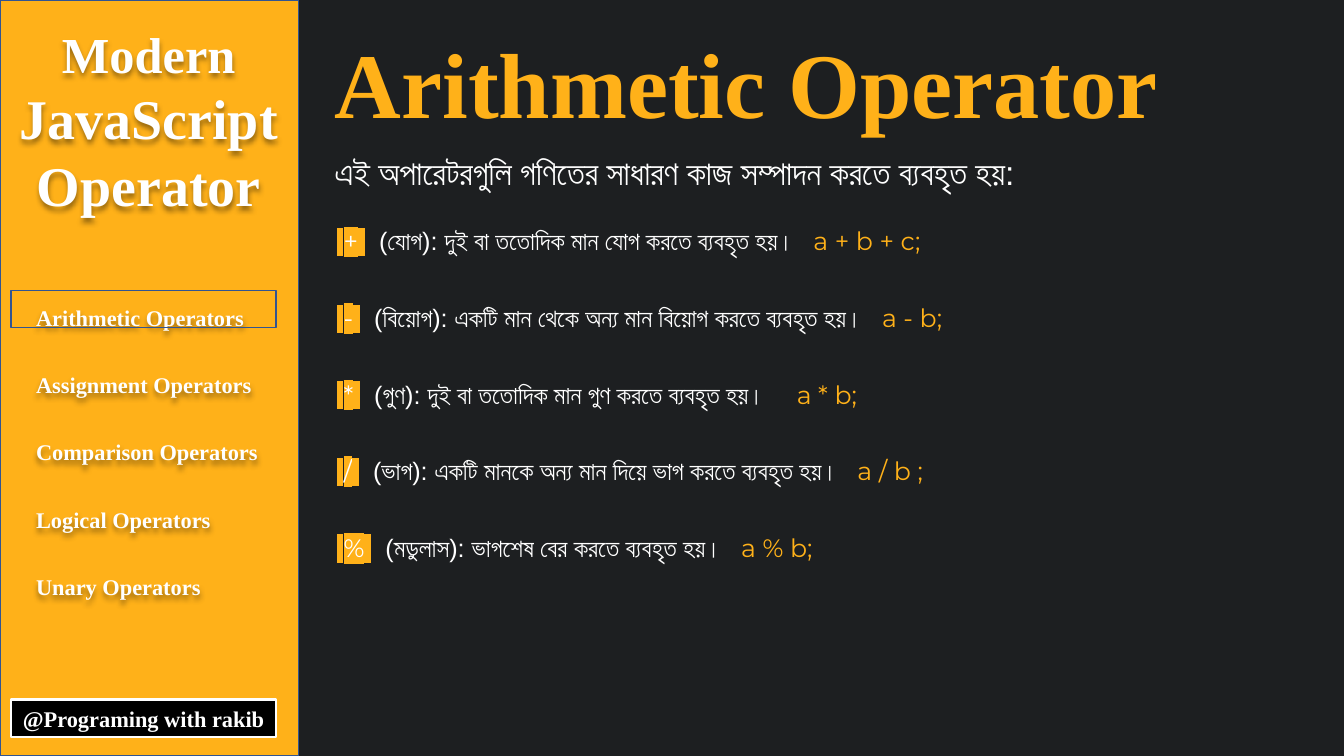
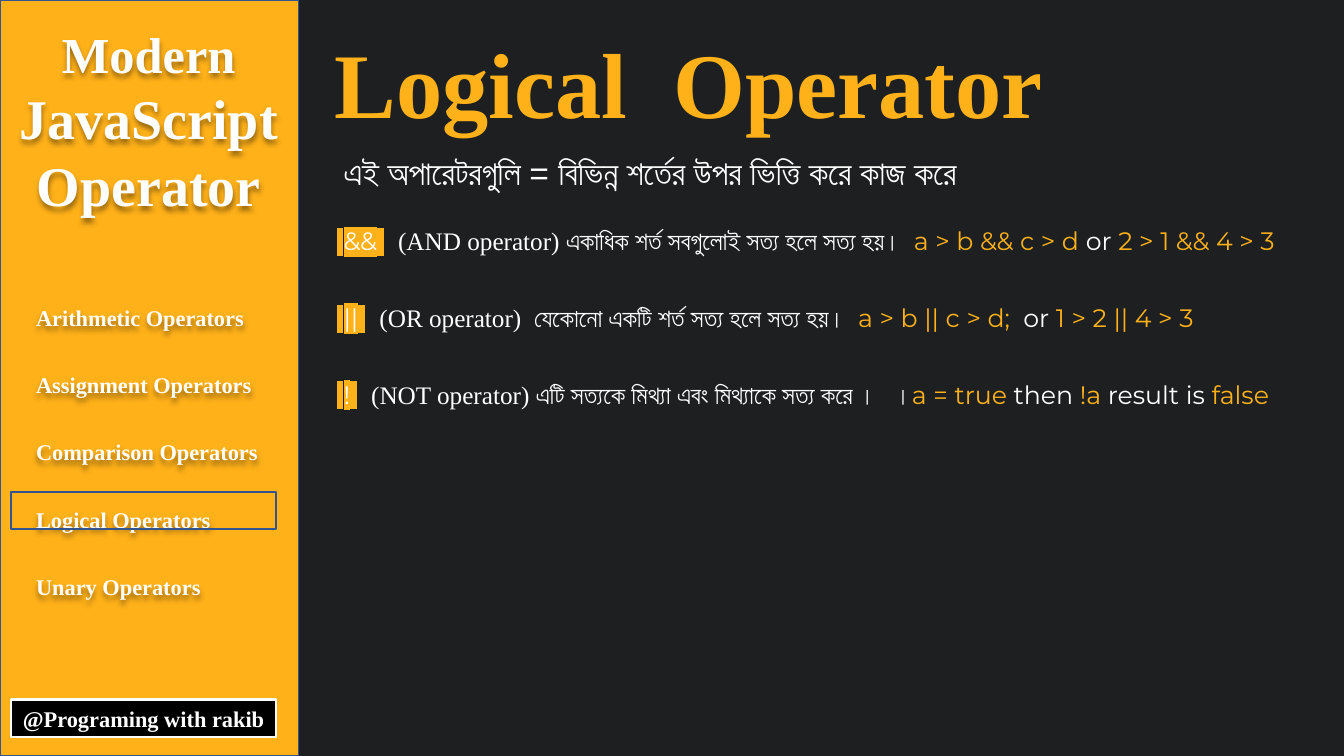
from lxml import etree
from pptx import Presentation
from pptx.dml.color import RGBColor
from pptx.enum.shapes import MSO_SHAPE
from pptx.enum.text import MSO_ANCHOR, MSO_AUTO_SIZE, PP_ALIGN
from pptx.oxml.ns import qn
from pptx.util import Inches, Pt

RECTANGLE = MSO_SHAPE.RECTANGLE
TOP, MIDDLE = MSO_ANCHOR.TOP, MSO_ANCHOR.MIDDLE
GROW = MSO_AUTO_SIZE.SHAPE_TO_FIT_TEXT
LEFT, CENTER = PP_ALIGN.LEFT, PP_ALIGN.CENTER

# Colours and fonts
DARK = RGBColor(0x1D, 0x1F, 0x21)
AMBER = RGBColor(0xFF, 0xB1, 0x19)
BLUE = RGBColor(0x32, 0x54, 0x91)
WHITE = RGBColor(0xFF, 0xFF, 0xFF)
BLACK = RGBColor(0x00, 0x00, 0x00)
SERIF, SANS, CODE = "Times New Roman", "Arial", "Montserrat"

# Sidebar wording and spacing
COURSE_TITLE = [("Modern", 36), ("JavaScript", 40), ("Operator", 40)]
TOPICS = ["Arithmetic", "Assignment", "Comparison", "Logical", "Unary"]
TOPIC_STEP = 2 / 3
ROW_TOP, ROW_STEP = 2.19, 0.76


class Deck:
    """Holds the shared style and the slide being built."""

    def __init__(self):
        self.presentation = Presentation()
        self.presentation.slide_width = Inches(13.33)
        self.presentation.slide_height = Inches(7.5)
        background = self.presentation.slide_master.background.fill
        background.solid()
        background.fore_color.rgb = DARK
        self.slide = None

    def start_slide(self, title, topic):
        layout = self.presentation.slide_layouts[5]
        self.slide = self.presentation.slides.add_slide(layout)
        self.sidebar(topic)
        self.title(title)

    def run(self, paragraph, text, size, font=SERIF, color=WHITE,
            bold=False, highlight=None):
        run = paragraph.add_run()
        run.text = text
        run.font.size = Pt(size)
        run.font.bold = bold
        run.font.color.rgb = color
        run.font.name = font
        if highlight is not None:
            mark = etree.Element(qn("a:highlight"))
            etree.SubElement(mark, qn("a:srgbClr"), val=str(highlight))
            run.font._element.find(qn("a:solidFill")).addnext(mark)

    def rectangle(self, left, top, width, height, line, weight=1, fill=None):
        shape = self.slide.shapes.add_shape(
            RECTANGLE, Inches(left), Inches(top), Inches(width), Inches(height))
        shape.shadow.inherit = False
        if fill is None:
            shape.fill.background()
        else:
            shape.fill.solid()
            shape.fill.fore_color.rgb = fill
        shape.line.color.rgb = line
        shape.line.width = Pt(weight)
        return shape

    def text_box(self, left, top, width, height, wrap=False):
        box = self.slide.shapes.add_textbox(
            Inches(left), Inches(top), Inches(width), Inches(height))
        box.text_frame.word_wrap = wrap
        box.text_frame.auto_size = GROW
        return box

    def lines(self, box, lines, align=LEFT, spacing=None):
        """Write bold serif lines, each given as (text, size)."""
        frame = box.text_frame
        for index, (text, size) in enumerate(lines):
            paragraph = frame.add_paragraph() if index else frame.paragraphs[0]
            paragraph.alignment = align
            paragraph.line_spacing = spacing
            self.run(paragraph, text, size, bold=True)

    def drop_shadow(self, box):
        effects = etree.SubElement(box._element.spPr, qn("a:effectLst"))
        shadow = etree.SubElement(
            effects, qn("a:outerShdw"), blurRad="50800", dist="38100",
            dir="5400000", algn="t", rotWithShape="0")
        color = etree.SubElement(shadow, qn("a:srgbClr"), val=str(BLACK))
        etree.SubElement(color, qn("a:alpha"), val="40000")

    def sidebar(self, topic):
        self.rectangle(0, 0, 2.96, 7.5, BLUE, fill=AMBER)

        # Course title
        heading = self.text_box(0.08, 0.18, 2.79, 2.73)
        self.lines(heading, COURSE_TITLE, CENTER)
        self.drop_shadow(heading)

        # Author tag
        tag = self.rectangle(0.11, 6.94, 2.63, 0.37, WHITE, 1.5, BLACK)
        tag.text_frame.word_wrap = False
        tag.text_frame.auto_size = GROW
        tag.text_frame.vertical_anchor = MIDDLE
        self.lines(tag, [("@Programing with rakib", 16)], CENTER)

        # Topic list with a frame around the current one
        menu = self.text_box(0.26, 2.57, 2.43, 3.35)
        self.lines(menu, [(f"{name} Operators", 16) for name in TOPICS],
                   spacing=2.5)
        self.drop_shadow(menu)
        frame_top = 2.88 + TOPICS.index(topic) * TOPIC_STEP
        self.rectangle(0.11, frame_top, 2.63, 0.37, BLUE)

    def title(self, text):
        title = self.slide.shapes.title
        title.left, title.top = Inches(3.22), Inches(0.21)
        title.width, title.height = Inches(9.26), Inches(1.21)
        frame = title.text_frame
        frame.word_wrap = True
        frame.auto_size = GROW
        frame.vertical_anchor = TOP
        paragraph = frame.paragraphs[0]
        paragraph.alignment = LEFT
        self.run(paragraph, text, 66, color=AMBER, bold=True)

    def introduction(self, text, left=3.22):
        box = self.text_box(left, 1.26, 9.85, 0.65, wrap=True)
        paragraph = box.text_frame.paragraphs[0]
        paragraph.line_spacing = 1.5
        self.run(paragraph, text, 24, SANS)

    def operator_rows(self, rows):
        """Each row is (symbol, box width, runs of (text, font, colour))."""
        for index, (symbol, width, runs) in enumerate(rows):
            box = self.text_box(3.24, ROW_TOP + index * ROW_STEP, width, 0.4)
            paragraph = box.text_frame.paragraphs[0]
            for text, font in ((" ", SANS), (symbol, CODE), (" ", SANS)):
                self.run(paragraph, text, 18, font, highlight=AMBER)
            for text, font, color in runs:
                self.run(paragraph, text, 18, font, color)


def prose(text, font=SANS):
    return text, font, WHITE


def code(text):
    return text, CODE, AMBER


def joining(text):
    return prose(text, CODE)


ARITHMETIC_ROWS = [
    ("+", 6.14, [prose("  (যোগ): দুই বা ততোদিক মান যোগ করতে ব্যবহৃত হয়।   "),
                 code("a + b + c;")]),
    ("-", 6.54, [prose("  (বিয়োগ): একটি মান থেকে অন্য মান বিয়োগ করতে ব্যবহৃত হয়।   "),
                 code("a - b;")]),
    ("*", 5.7, [prose("  (গুণ): দুই বা ততোদিক মান গুণ করতে ব্যবহৃত হয়।     "),
                code("a * b;")]),
    ("/", 6.15, [prose("  (ভাগ): একটি মানকে অন্য মান দিয়ে ভাগ করতে ব্যবহৃত হয়।   "),
                 code("a / b ;")]),
    ("%", 5.02, [prose("  (মডুলাস): ভাগশেষ বের করতে ব্যবহৃত হয়।   "),
                 code("a % b;")]),
]

LOGICAL_ROWS = [
    ("&&", 9.94, [prose("  "), prose("(AND operator) ", SERIF),
                  prose("একাধিক শর্ত সবগুলোই সত্য হলে সত্য হয়।  "),
                  code("a > b && c > d "), joining("or"),
                  code(" 2 > 1 && 4 > 3")]),
    ("||", 9.03, [prose("  "), prose("(OR operator)  ", SERIF),
                  prose("যেকোনো একটি শর্ত সত্য হলে সত্য হয়।  "),
                  code("a > b || c > d;  "), joining("or"),
                  code(" 1 > 2 || 4 > 3")]),
    ("!", 9.81, [prose("  "), prose("(NOT operator) ", SERIF),
                 prose("এটি সত্যকে মিথ্যা এবং মিথ্যাকে সত্য করে ।   ।"),
                 code("a = true "), joining("then"), code(" !a "),
                 joining("result is "), code("false")]),
]


def main():
    deck = Deck()

    # Arithmetic operators
    deck.start_slide("Arithmetic Operator", "Arithmetic")
    deck.introduction("এই অপারেটরগুলি গণিতের সাধারণ কাজ সম্পাদন করতে ব্যবহৃত হয়:")
    deck.operator_rows(ARITHMETIC_ROWS)

    # Logical operators
    deck.start_slide("Logical  Operator", "Logical")
    deck.introduction("এই অপারেটরগুলি = বিভিন্ন শর্তের উপর ভিত্তি করে কাজ করে", 3.31)
    deck.operator_rows(LOGICAL_ROWS)

    deck.presentation.save("out.pptx")


if __name__ == "__main__":
    main()
